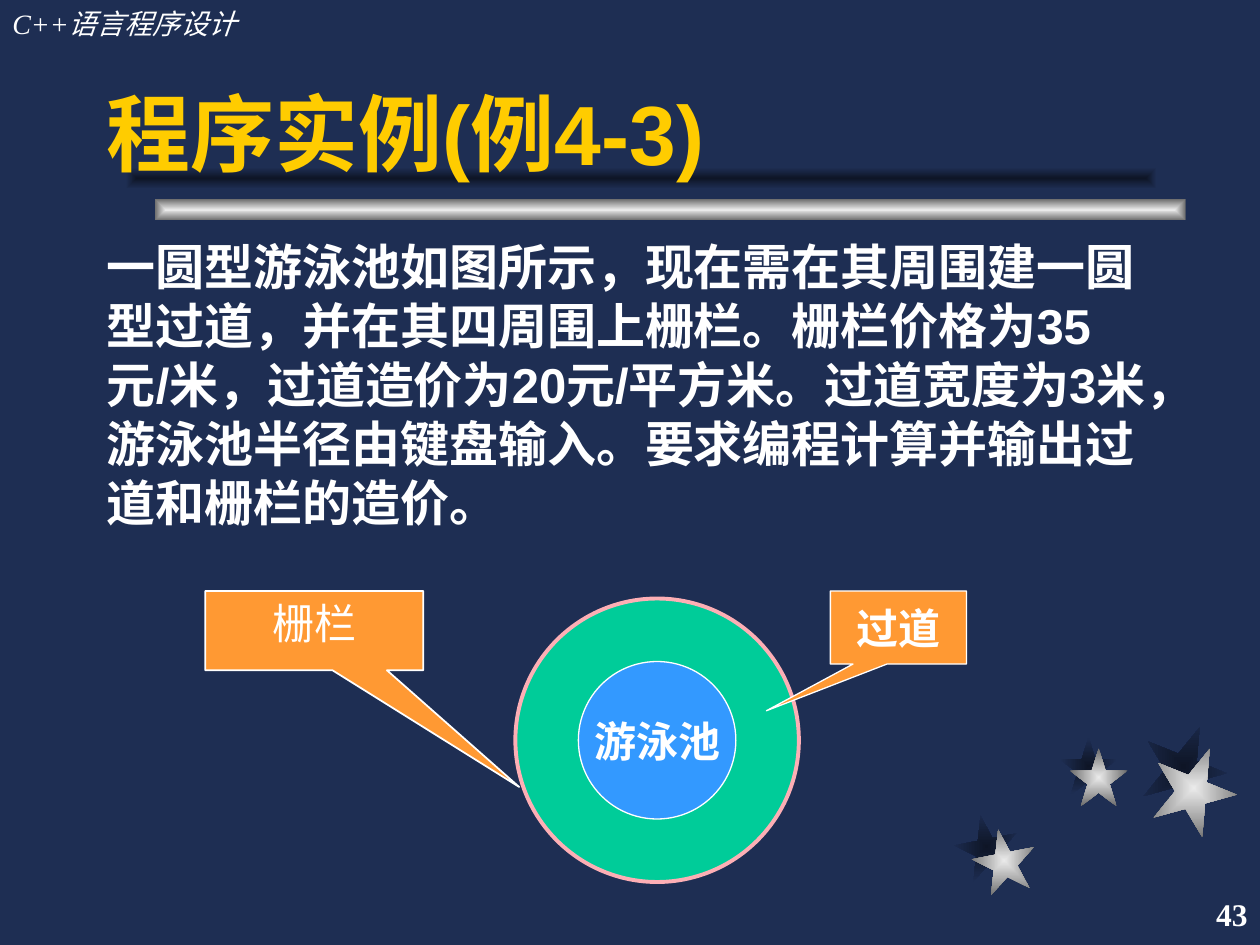
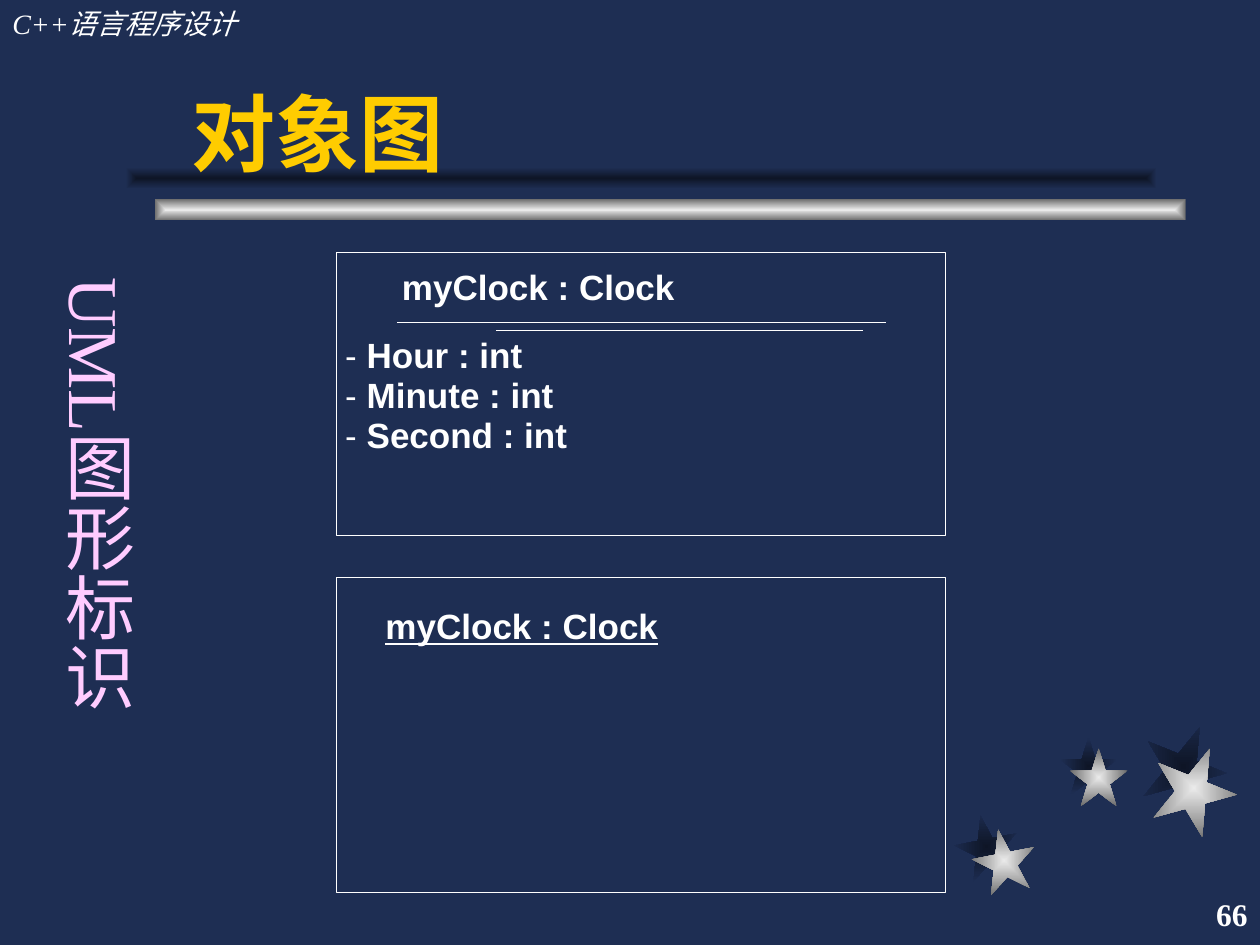
from lxml import etree
from pptx import Presentation
from pptx.dml.color import RGBColor
from pptx.enum.shapes import MSO_CONNECTOR, MSO_SHAPE
from pptx.enum.text import MSO_ANCHOR, PP_ALIGN
from pptx.oxml.ns import qn
from pptx.util import Inches, Pt

STAR, RECT, OVAL = MSO_SHAPE.STAR_5_POINT, MSO_SHAPE.RECTANGLE, MSO_SHAPE.OVAL
CALLOUT = MSO_SHAPE.RECTANGULAR_CALLOUT
STRAIGHT = MSO_CONNECTOR.STRAIGHT
TOP, MIDDLE, BOTTOM = MSO_ANCHOR.TOP, MSO_ANCHOR.MIDDLE, MSO_ANCHOR.BOTTOM
LEFT, CENTER, RIGHT = PP_ALIGN.LEFT, PP_ALIGN.CENTER, PP_ALIGN.RIGHT

HEX = {
    "navy": "1E2E53", "shade": "0E1526", "silver": "EAEAEA", "steel": "6C6C6C",
    "white": "FFFFFF", "gold": "FFCC00", "lilac": "FFCCFF", "green": "00CC99",
    "blue": "3399FF", "orange": "FF9933", "pink": "FDAFB5",
}
COLORS = {name: RGBColor.from_string(value) for name, value in HEX.items()}
SANS, SERIF = "Arial", "Times New Roman"


def add_part(slide, kind, box, fill=None, line=None, width=0.75):
    """Add a flat shape; a pair of fill colours makes a centre-to-edge gradient."""
    part = slide.shapes.add_shape(kind, *map(Inches, box))
    part.shadow.inherit = False
    if isinstance(fill, tuple):
        part.fill.gradient()
        for stop, color in zip(part.fill.gradient_stops, fill):
            stop.color.rgb = COLORS[color]
        gradient = part._element.spPr.find(qn("a:gradFill"))
        gradient.remove(gradient.find(qn("a:lin")))
        spread = etree.SubElement(gradient, qn("a:path"), path="rect")
        etree.SubElement(spread, qn("a:fillToRect"), l="50000", t="50000", r="50000", b="50000")
    elif fill:
        part.fill.solid()
        part.fill.fore_color.rgb = COLORS[fill]
    else:
        part.fill.background()
    if line:
        part.line.color.rgb = COLORS[line]
        part.line.width = Pt(width)
    else:
        part.line.fill.background()
    return part


def write(target, text, size, font=SERIF, color="white", bold=True, align=LEFT,
          anchor=TOP, wrap=True, inset=(0.1, 0.05)):
    """Fill a shape or text box with one formatted paragraph and return it."""
    frame = target.text_frame
    frame.word_wrap = wrap
    frame.vertical_anchor = anchor
    frame.margin_left = frame.margin_right = Inches(inset[0])
    frame.margin_top = frame.margin_bottom = Inches(inset[1])
    frame.text = text
    paragraph = frame.paragraphs[0]
    paragraph.alignment = align
    style = paragraph.runs[0].font
    style.name, style.size, style.bold = font, Pt(size), bold
    style.color.rgb = COLORS[color]
    return paragraph


prs = Presentation()
prs.slide_width, prs.slide_height = Inches(10), Inches(7.5)

# Background, stars, title bar, header and page number on both slides
STARS = {
    ("shade", "navy"): [(7.58, 6.47, 0.5, -11), (8.41, 5.85, 0.46, 0), (9.06, 5.75, 0.67, 22)],
    ("silver", "steel"): [(7.72, 6.58, 0.5, -11), (8.49, 5.94, 0.46, 0), (9.14, 5.92, 0.67, 22)],
}
PAGES = [
    ("程序实例(例4-3)", (0.75, 0.75, 8.5, 0.75), "43"),
    ("对象图", (1.42, 0.25, 7.83, 1.25), "66"),
]
slides = []
for title, title_box, number in PAGES:
    slide = prs.slides.add_slide(prs.slide_layouts[6])
    slides.append(slide)
    slide.background.fill.solid()
    slide.background.fill.fore_color.rgb = COLORS["navy"]
    for gradient, stars in STARS.items():
        for left, top, size, turn in stars:
            add_part(slide, STAR, (left, top, size, size), gradient).rotation = turn
    add_part(slide, RECT, (1.23, 1.58, 8.18, 0.17), ("silver", "steel"))
    add_part(slide, RECT, (1, 1.33, 8.18, 0.17), ("shade", "navy"))

    header = slide.shapes.add_textbox(0, 0, Inches(3.08), Inches(0.37))
    write(header, "C++语言程序设计", 16, bold=False).runs[0].font.italic = True
    page = slide.shapes.add_textbox(Inches(7.92), Inches(7), Inches(2.08), Inches(0.5))
    write(page, number, 18, align=RIGHT, anchor=MIDDLE)
    heading = slide.shapes.add_textbox(*map(Inches, title_box))
    write(heading, title, 48, SANS, "gold", anchor=BOTTOM)

pool_slide, uml_slide = slides

# Swimming pool example
task = pool_slide.shapes.add_textbox(Inches(0.75), Inches(1.83), Inches(8.5), Inches(2.67))
write(task, "一圆型游泳池如图所示，现在需在其周围建一圆型过道，并在其四周围上栅栏。"
            "栅栏价格为35元/米，过道造价为20元/平方米。过道宽度为3米，"
            "游泳池半径由键盘输入。要求编程计算并输出过道和栅栏的造价。", 28, SANS)

add_part(pool_slide, OVAL, (4.09, 4.75, 2.25, 2.25), "green", "pink", 2.25)
pool = add_part(pool_slide, OVAL, (4.59, 5.25, 1.25, 1.25), "blue", "white")
write(pool, "游泳池", 24, align=CENTER, anchor=MIDDLE, wrap=False)

aisle = add_part(pool_slide, CALLOUT, (6.59, 4.69, 1.08, 0.58), "orange", "white")
aisle.adjustments[0], aisle.adjustments[1] = -0.97, 1.14
write(aisle, "过道", 24, align=CENTER, anchor=MIDDLE, wrap=False)

fence = add_part(pool_slide, CALLOUT, (1.63, 4.69, 1.73, 0.63), "orange", "white", 1)
fence.adjustments[0], fence.adjustments[1] = 0.94, 1.97
write(fence, "栅栏", 24, bold=False, align=CENTER)

# UML object diagrams: with attributes above, name only below
for top, height in [(2, 2.25), (4.58, 2.5)]:
    add_part(uml_slide, RECT, (2.67, top, 4.83, height), line="white", width=0.25)

for left, top, underlined in [(3.19, 2.11, False), (3.06, 4.8, True)]:
    object_name = uml_slide.shapes.add_textbox(
        Inches(left), Inches(top), Inches(2.3), Inches(0.33))
    label = write(object_name, "myClock : Clock", 20, SANS, inset=(0, 0))
    label.runs[0].font.underline = underlined

for start, end, y in [(3.15, 7.03, 2.56), (3.94, 6.85, 2.62)]:
    rule = uml_slide.shapes.add_connector(
        STRAIGHT, Inches(start), Inches(y), Inches(end), Inches(y))
    rule.line.color.rgb = COLORS["white"]
    rule.line.width = Pt(0.25)
    etree.SubElement(rule._element.spPr, qn("a:effectLst"))

for row, attribute in enumerate(["Hour : int", "Minute : int", "Second : int"]):
    entry = uml_slide.shapes.add_textbox(
        Inches(2.74), Inches(2.65 + 0.315 * row), Inches(2), Inches(0.33))
    line = write(entry, "- ", 20, SANS, bold=False, inset=(0, 0))
    declaration = line.add_run()
    declaration.text = attribute
    declaration.font.name, declaration.font.size = SANS, Pt(20)
    declaration.font.bold = True
    declaration.font.color.rgb = COLORS["white"]

notation = uml_slide.shapes.add_textbox(Inches(0.3), Inches(1.42), Inches(0.86), Inches(5.17))
write(notation, "UML图形标识", 40, color="lilac", bold=False, inset=(0.05, 0.1))
notation.text_frame.margin_top = Inches(0.78)
notation.text_frame._txBody.bodyPr.set("vert", "eaVert")

prs.save("out.pptx")
